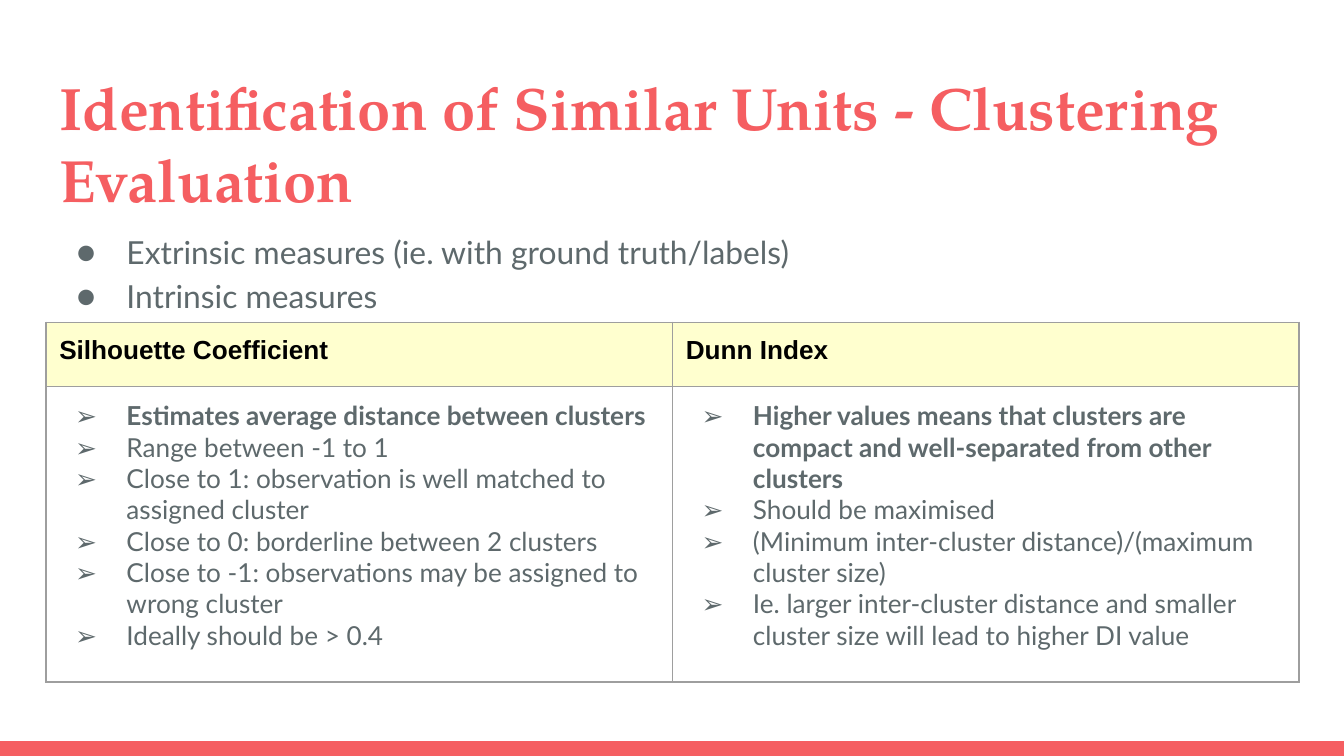
from lxml import etree
from pptx import Presentation
from pptx import util as u
from pptx.dml.color import RGBColor
from pptx.enum import shapes, text
from pptx.oxml import ns

CORAL = RGBColor(0xF5, 0x5E, 0x61)
SLATE = RGBColor(0x5E, 0x69, 0x6C)
GREY = RGBColor(0x9E, 0x9E, 0x9E)
YELLOW = RGBColor(0xFF, 0xFF, 0x00)
BLACK = RGBColor(0, 0, 0)
INSET = u.Cm(0.25)

MEASURES = ["Extrinsic measures (ie. with ground truth/labels)", "Intrinsic measures"]
INDICES = {
    "Silhouette Coefficient": [
        "Estimates average distance between clusters",
        "Range between -1 to 1",
        "Close to 1: observation is well matched to assigned cluster",
        "Close to 0: borderline between 2 clusters",
        "Close to -1: observations may be assigned to wrong cluster",
        "Ideally should be > 0.4",
    ],
    "Dunn Index": [
        "Higher values means that clusters are compact and well-separated from other clusters",
        "Should be maximised",
        "(Minimum inter-cluster distance)/(maximum cluster size)",
        "Ie. larger inter-cluster distance and smaller cluster size will lead to higher DI value",
    ],
}


def write(tf, lines, font, size, color, bold=False):
    tf.text = "\n".join(lines)
    for p in tf.paragraphs:
        p.alignment = text.PP_ALIGN.LEFT
        p.space_before = u.Pt(0)
        for r in p.runs:
            r.font.name = font
            r.font.size = u.Pt(size)
            r.font.color.rgb = color
            r.font.bold = bold


def add_bullets(tf, char, hang):
    for p in tf.paragraphs:
        pPr = p._p.get_or_add_pPr()
        pPr.set("marL", str(u.Cm(1.27)))
        pPr.set("indent", str(-hang))
        clr = etree.SubElement(pPr, ns.qn("a:buClr"))
        etree.SubElement(clr, ns.qn("a:srgbClr"), val=str(SLATE))
        etree.SubElement(pPr, ns.qn("a:buFont"), typeface="Lato")
        etree.SubElement(pPr, ns.qn("a:buChar"), char=char)


prs = Presentation()
prs.slide_width, prs.slide_height = u.Cm(25.4), u.Cm(14.29)
s = prs.slides.add_slide(prs.slide_layouts[1])

band = s.shapes.add_shape(shapes.MSO_SHAPE.RECTANGLE, 0, u.Cm(14.01), prs.slide_width, u.Cm(0.28))
band.shadow.inherit = False
band.fill.solid()
band.fill.fore_color.rgb = CORAL
band.line.fill.background()

title, body = s.placeholders
title.left, title.top, title.width, title.height = u.Cm(0.87), u.Cm(1.09), u.Cm(23.67), u.Cm(1.73)
body.left, body.top, body.width, body.height = u.Cm(0.87), u.Cm(4.04), u.Cm(23.3), u.Cm(9.5)
for sp in (title, body):
    tf = sp.text_frame
    tf.margin_left = tf.margin_right = tf.margin_top = tf.margin_bottom = INSET
    tf.vertical_anchor = text.MSO_ANCHOR.TOP
    tf.auto_size = text.MSO_AUTO_SIZE.NONE
    tf.word_wrap = True

write(title.text_frame, ["Identification of Similar Units - Clustering Evaluation"],
      "TeX Gyre Pagella", 32, CORAL, bold=True)
write(body.text_frame, MEASURES, "Lato", 17, SLATE)
for p in body.text_frame.paragraphs:
    p.line_spacing = 1.15
add_bullets(body.text_frame, "●", u.Cm(0.94))

table = s.shapes.add_table(2, 2, u.Cm(0.87), u.Cm(6.09), u.Cm(23.68), u.Cm(6.8)).table
table.horz_banding = table.first_row = False
table.rows[0].height, table.rows[1].height = u.Cm(1.22), u.Cm(5.58)

for col, (heading, points) in enumerate(INDICES.items()):
    head, cell = table.cell(0, col), table.cell(1, col)
    for c in (head, cell):
        c.margin_left = c.margin_right = c.margin_top = c.margin_bottom = INSET
        for side in ("lnL", "lnR", "lnT", "lnB"):
            ln = etree.SubElement(c._tc.get_or_add_tcPr(), ns.qn("a:" + side), w=str(u.Pt(0.75)))
            fill = etree.SubElement(ln, ns.qn("a:solidFill"))
            etree.SubElement(fill, ns.qn("a:srgbClr"), val=str(GREY))

    write(head.text_frame, [heading], "Arial", 14, BLACK, bold=True)
    head.fill.solid()
    head.fill.fore_color.rgb = YELLOW
    tint = head._tc.tcPr.find(ns.qn("a:solidFill")).find(ns.qn("a:srgbClr"))
    etree.SubElement(tint, ns.qn("a:alpha"), val="19000")

    write(cell.text_frame, points, "Lato", 14, SLATE)
    cell.text_frame.paragraphs[0].runs[0].font.bold = True
    add_bullets(cell.text_frame, "➢", u.Cm(0.97))
    cell.fill.background()

prs.save("out.pptx")
